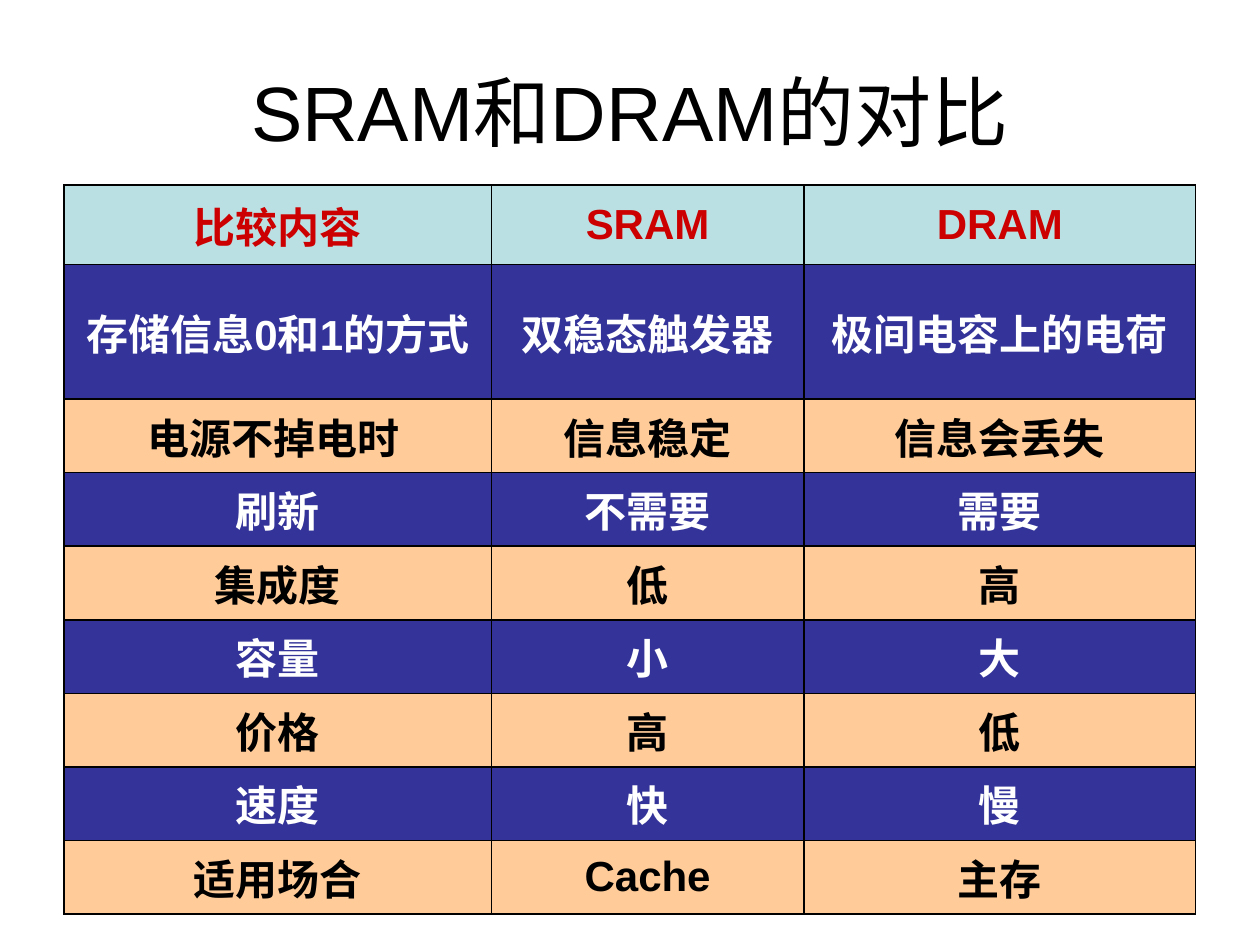
from dataclasses import dataclass

import lxml.etree
import pptx
import pptx.dml.color
import pptx.enum.text
import pptx.oxml.ns
import pptx.util

Inches = pptx.util.Inches
Pt = pptx.util.Pt


@dataclass(frozen=True)
class Theme:
    font: str = "Arial"
    title_size: int = 44
    cell_size: int = 24
    black: str = "000000"
    header: tuple = ("BBE0E3", "CC0000")  # fill, text
    bands: tuple = (("333399", "FFFFFF"), ("FFCC99", "000000"))
    border: float = 1


THEME = Theme()
WIDTH, HEIGHT = Inches(10), Inches(7.5)

TITLE = "SRAM和DRAM的对比"
COLUMN_WIDTHS = (3.39, 2.48, 3.11)
HEADER_HEIGHT, ROW_HEIGHT = 0.63, 0.5
COMPARISON = (
    ("比较内容", "SRAM", "DRAM"),
    ("存储信息0和1的方式", "双稳态触发器", "极间电容上的电荷"),
    ("电源不掉电时 ", "信息稳定", "信息会丢失"),
    ("刷新", "不需要", "需要"),
    ("集成度", "低", "高"),
    ("容量", "小", "大"),
    ("价格", "高", "低"),
    ("速度", "快", "慢"),
    ("适用场合", "Cache", "主存"),
)


def rgb(value):
    return pptx.dml.color.RGBColor.from_string(value)


def write(frame, text, size, color, bold=False):
    """Put one centred run into a text frame."""
    paragraph = frame.paragraphs[0]
    paragraph.alignment = pptx.enum.text.PP_ALIGN.CENTER
    run = paragraph.add_run()
    run.text = text
    run.font.name = THEME.font
    run.font.size = Pt(size)
    run.font.bold = bold
    run.font.color.rgb = rgb(color)


def add_borders(cell):
    """Draw all four edges; they must come before the fill in the XML."""
    properties = cell._tc.get_or_add_tcPr()
    for position, edge in enumerate(("lnL", "lnR", "lnT", "lnB")):
        line = lxml.etree.Element(pptx.oxml.ns.qn(f"a:{edge}"), w=str(Pt(THEME.border)))
        fill = lxml.etree.SubElement(line, pptx.oxml.ns.qn("a:solidFill"))
        lxml.etree.SubElement(fill, pptx.oxml.ns.qn("a:srgbClr"), val=THEME.black)
        properties.insert(position, line)


def format_cell(cell, text, fill, color):
    cell.margin_left = cell.margin_right = Inches(0.02)
    cell.margin_top = cell.margin_bottom = Inches(0.05)
    cell.vertical_anchor = pptx.enum.text.MSO_ANCHOR.MIDDLE
    cell.fill.solid()
    cell.fill.fore_color.rgb = rgb(fill)
    add_borders(cell)
    write(cell.text_frame, text, THEME.cell_size, color, bold=True)


def add_title(slide):
    title = slide.shapes.title
    title.left, title.top = int(WIDTH * 0.075), Inches(0.52)
    title.width, title.height = int(WIDTH * 0.85), Inches(0.72)
    title.text_frame.vertical_anchor = pptx.enum.text.MSO_ANCHOR.MIDDLE
    write(title.text_frame, TITLE, THEME.title_size, THEME.black)


def add_comparison(slide):
    row_heights = [HEADER_HEIGHT] + [ROW_HEIGHT] * (len(COMPARISON) - 1)
    table_width = sum(COLUMN_WIDTHS)
    comparison = slide.shapes.add_table(
        len(COMPARISON), len(COLUMN_WIDTHS),
        (WIDTH - Inches(table_width)) // 2, Inches(1.47),
        Inches(table_width), Inches(sum(row_heights)),
    ).table
    for column, width in zip(comparison.columns, COLUMN_WIDTHS):
        column.width = Inches(width)
    for index, (row, height) in enumerate(zip(comparison.rows, row_heights)):
        row.height = Inches(height)
        # Header colours first, then two alternating bands
        colors = THEME.bands[(index - 1) % 2] if index else THEME.header
        for cell, text in zip(row.cells, COMPARISON[index]):
            format_cell(cell, text, *colors)


def main():
    deck = pptx.Presentation()
    deck.slide_width, deck.slide_height = WIDTH, HEIGHT
    slide = deck.slides.add_slide(deck.slide_layouts[5])  # title only
    add_title(slide)
    add_comparison(slide)
    deck.save("out.pptx")


if __name__ == "__main__":
    main()
